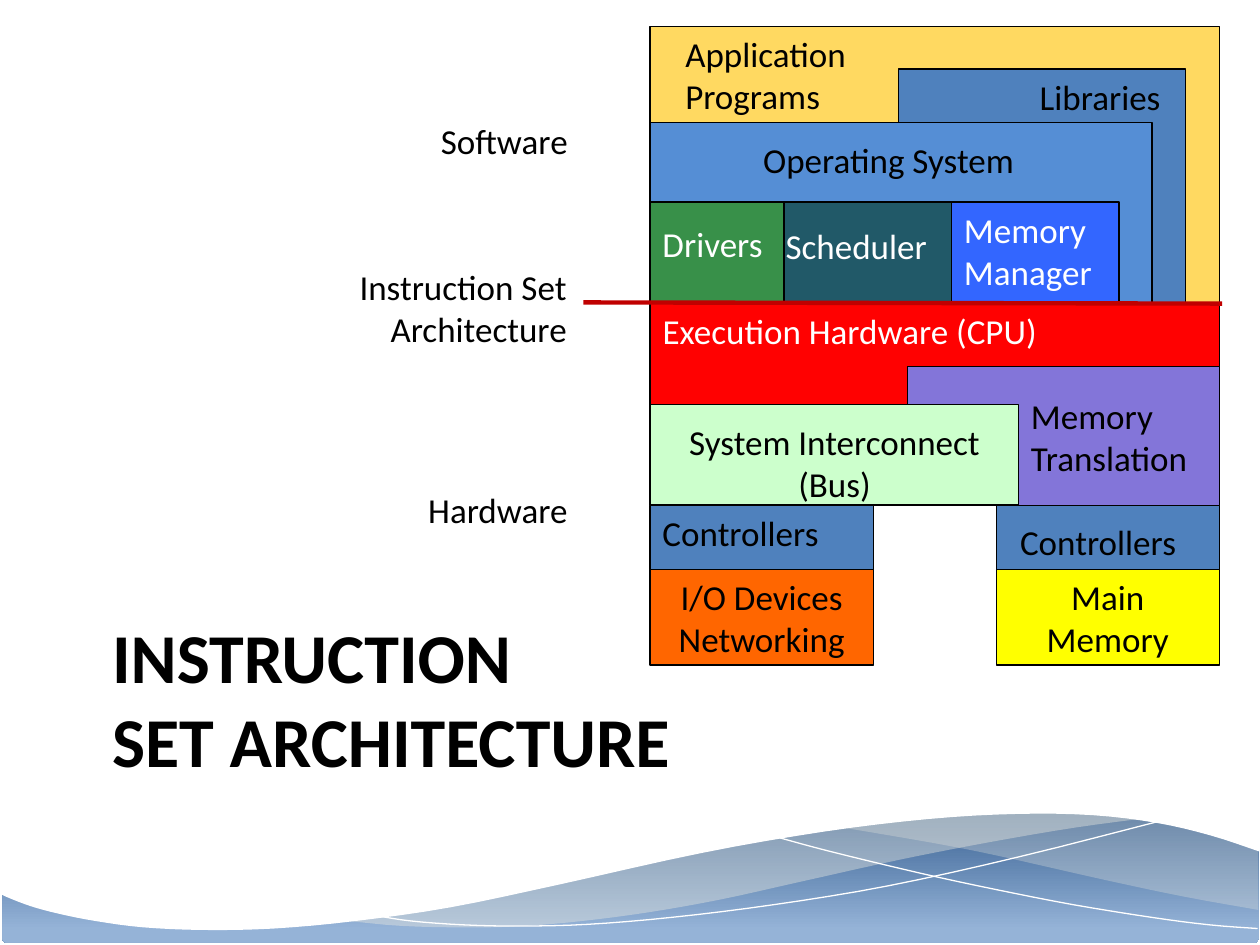
from typing import NamedTuple

from lxml.etree import SubElement
from pptx import Presentation
from pptx.dml.color import RGBColor
from pptx.enum.shapes import MSO_CONNECTOR, MSO_SHAPE
from pptx.enum.text import MSO_ANCHOR, PP_ALIGN
from pptx.oxml.ns import qn
from pptx.util import Pt

FONT = "Calibri"
BLACK = RGBColor(0x00, 0x00, 0x00)
WHITE = RGBColor(0xFF, 0xFF, 0xFF)
DEEP_BLUE = RGBColor(0x37, 0x60, 0x92)
PALE_BLUE = RGBColor(0x95, 0xB3, 0xD7)
CREAM = RGBColor(0xEE, 0xEC, 0xE1)
GOLD = RGBColor(0xFF, 0xD9, 0x61)
BLUE = RGBColor(0x4F, 0x81, 0xBD)
SKY = RGBColor(0x55, 0x8E, 0xD5)
RED = RGBColor(0xFF, 0x01, 0x01)
PURPLE = RGBColor(0x83, 0x75, 0xD9)
MINT = RGBColor(0xCC, 0xFF, 0xCC)
ORANGE = RGBColor(0xFF, 0x66, 0x00)
YELLOW = RGBColor(0xFF, 0xFF, 0x00)
ROYAL = RGBColor(0x33, 0x66, 0xFF)
TEAL = RGBColor(0x21, 0x59, 0x68)
GREEN = RGBColor(0x38, 0x90, 0x49)
DARK_RED = RGBColor(0xC0, 0x00, 0x00)
LEFT, CENTER, RIGHT = PP_ALIGN.LEFT, PP_ALIGN.CENTER, PP_ALIGN.RIGHT

# Shared edges of the layer diagram, in points
X0, X1 = 371.5, 697
ISA, BUS_BOTTOM, DEVICE_TOP, BOTTOM = 173.5, 288.7, 325.4, 380
PORT_W = 127.5

Curve = list[tuple[float, float]]


class Block(NamedTuple):
    left: float
    top: float
    right: float
    bottom: float
    color: RGBColor


class Label(NamedTuple):
    left: float
    top: float
    width: float
    height: float
    lines: tuple[str, ...]
    color: RGBColor = BLACK
    align: PP_ALIGN = LEFT


BLOCKS = [
    Block(X0, 15.1, X1, ISA, GOLD),
    Block(513.4, 39.4, 677.5, ISA, BLUE),
    Block(X0, 70, 658.3, ISA, SKY),
    Block(X0, ISA, X1, BUS_BOTTOM, RED),
    Block(518.4, 209.3, X1, BUS_BOTTOM, PURPLE),
    Block(X0, 231, 582.2, BUS_BOTTOM, MINT),
    Block(X0, BUS_BOTTOM, X0 + PORT_W, DEVICE_TOP, BLUE),
    Block(X0, DEVICE_TOP, X0 + PORT_W, BOTTOM, ORANGE),
    Block(X1 - PORT_W, BUS_BOTTOM, X1, DEVICE_TOP, BLUE),
    Block(X1 - PORT_W, DEVICE_TOP, X1, BOTTOM, YELLOW),
    Block(543.8, 115.5, 639.4, ISA, ROYAL),
    Block(448, 115.5, 543.8, ISA, TEAL),
    Block(X0, 115.5, 448, ISA, GREEN),
]

LABELS = [
    Label(384.5, 15.1, 129, 50, ("Application Programs",)),
    Label(587, 39.4, 110, 28, ("Libraries",)),
    Label(429, 75.6, 217, 28, ("Operating System",)),
    Label(X0, 123.5, 89, 28, ("Drivers",), WHITE),
    Label(543.8, 115.5, 102, 50, ("Memory", "Manager"), WHITE),
    Label(441.8, 124.5, 121, 28, ("Scheduler",), WHITE),
    Label(X0, ISA, 281, 28, ("Execution Hardware (CPU)",), WHITE),
    Label(582, 222, 122, 50, ("Memory", "Translation")),
    Label(X0, 237, 210.7, 50, ("System Interconnect", "(Bus)"), BLACK, CENTER),
    Label(X0, BUS_BOTTOM, PORT_W, 28, ("Controllers",)),
    Label(575.8, 294, 114.5, 28, ("Controllers",)),
    Label(575.8, DEVICE_TOP, 114.5, 50, ("Main", "Memory"), BLACK, CENTER),
    Label(X0, DEVICE_TOP, PORT_W, 50, ("I/O Devices", "Networking"), BLACK, CENTER),
    # Captions beside the diagram
    Label(182, 148.3, 149, 50, ("Instruction Set Architecture",), BLACK, RIGHT),
    Label(223, 64.8, 108.5, 28, ("Software",), BLACK, RIGHT),
    Label(199, 275.8, 132.5, 28, ("Hardware",), BLACK, RIGHT),
]

# Wave edges, as points each curve passes through
CREST_TOP = [(482, 473), (515, 468.7), (554, 465), (589, 463.7), (627, 465),
             (660, 469.4), (688, 475), (719, 486)]
CREST_BASE = [(719, 520), (677.5, 512.6), (632, 503), (570, 489), (533, 481.7),
              (482, 473)]
SWELL_TOP = [(198.7, 526.3), (240.5, 520.6), (288, 512), (322, 504), (382, 491),
             (436, 480), (484.6, 472.3), (528, 466.6), (566, 463.7), (600, 463),
             (630, 464.4), (656.6, 467.3)]
SWELL_BASE = [(656.6, 467.3), (614, 473), (567, 481), (515.5, 491), (457, 504),
              (412, 514), (371, 521.3), (333, 526.3), (299.5, 529.2), (269, 530),
              (230.4, 529.2), (198.7, 526.3)]
RISING = [(216, 523.4), (235, 526.3), (265, 528.5), (297, 529.2), (336, 528.2),
          (384, 524.2), (442, 517), (507.6, 506.2), (582.5, 489.6), (667.4, 468)]
FALLING = [(445.7, 478.8), (475, 486.7), (526, 499), (569, 508.3), (613.4, 517),
           (658, 524.2), (691, 528.5), (718.6, 530.6)]
SURFACE = [(720, 486.7), (691.9, 477.4), (661, 470.2), (624.2, 465.8), (581, 465.1),
           (530.6, 468), (470.9, 475.2), (401, 487.4), (319.7, 505.4), (257.8, 518.4),
           (203, 526.3), (156.2, 530.6), (115.9, 531.4), (82, 529.9), (54.7, 526.3),
           (33.1, 522), (17.3, 517.7), (4, 512.6), (0, 510.5)]


def smooth(knots: Curve, steps: int = 4) -> Curve:
    """Catmull-Rom curve through the knots."""
    ends = [knots[0], *knots, knots[-1]]
    curve = [knots[0]]
    for a, b, c, d in zip(ends, ends[1:], ends[2:], ends[3:]):
        for i in range(1, steps + 1):
            t = i / steps
            curve.append(tuple(
                0.5 * (2 * q + (r - p) * t + (2 * p - 5 * q + 4 * r - s) * t ** 2
                       + (3 * q - p - 3 * r + s) * t ** 3)
                for p, q, r, s in zip(a, b, c, d)))
    return curve


def add_outline(s, curve: Curve, fill: RGBColor | None = None, opacity: int = 100) -> None:
    """A filled area, or a white hairline when there is no fill."""
    pts = [(Pt(x), Pt(y)) for x, y in curve]
    builder = s.shapes.build_freeform(*pts[0])
    builder.add_line_segments(pts[1:], close=fill is not None)
    sp = builder.convert_to_shape()
    sp.shadow.inherit = False
    if fill is None:
        sp.fill.background()
        sp.line.color.rgb = WHITE
        sp.line.width = Pt(0)
        return
    sp.fill.solid()
    sp.fill.fore_color.rgb = fill
    sp.line.fill.background()
    if opacity < 100:
        clr = sp._element.spPr.find(qn("a:solidFill")).find(qn("a:srgbClr"))
        SubElement(clr, qn("a:alpha")).set("val", str(opacity * 1000))


def add_waves(s) -> None:
    sp = s.shapes.add_shape(MSO_SHAPE.ROUNDED_RECTANGLE, Pt(1.4), Pt(463), Pt(718), Pt(75.6))
    sp.adjustments[0] = 0.03
    sp.shadow.inherit = False
    sp.line.fill.background()
    sp.fill.gradient()
    sp.fill.gradient_angle = 270
    for stop, color, position in zip(sp.fill.gradient_stops, (DEEP_BLUE, PALE_BLUE), (0, 0.9)):
        stop.color.rgb = color
        stop.position = position
    add_outline(s, smooth(CREST_TOP) + smooth(CREST_BASE), CREAM, 29)
    add_outline(s, smooth(SWELL_TOP) + smooth(SWELL_BASE), CREAM, 40)
    add_outline(s, smooth(RISING))
    add_outline(s, smooth(FALLING))
    add_outline(s, smooth(SURFACE) + [(0, 427), (720, 427)], WHITE)


def add_block(s, b: Block) -> None:
    sp = s.shapes.add_shape(MSO_SHAPE.RECTANGLE, Pt(b.left), Pt(b.top),
                            Pt(b.right - b.left), Pt(b.bottom - b.top))
    sp.shadow.inherit = False
    sp.fill.solid()
    sp.fill.fore_color.rgb = b.color
    sp.line.color.rgb = BLACK
    sp.line.width = Pt(0.75)


def add_label(s, lb: Label, size: int = 20, bold: bool = False) -> None:
    sp = s.shapes.add_textbox(Pt(lb.left), Pt(lb.top), Pt(lb.width), Pt(lb.height))
    tf = sp.text_frame
    tf.word_wrap = True
    tf.vertical_anchor = MSO_ANCHOR.TOP
    for i, line in enumerate(lb.lines):
        p = tf.add_paragraph() if i else tf.paragraphs[0]
        p.alignment = lb.align
        r = p.add_run()
        r.text = line
        r.font.name, r.font.size, r.font.bold = FONT, Pt(size), bold
        r.font.color.rgb = lb.color


def main() -> None:
    prs = Presentation()
    prs.slide_width, prs.slide_height = Pt(720), Pt(540)
    s = prs.slides.add_slide(prs.slide_layouts[6])

    add_waves(s)

    # Title
    add_label(s, Label(57, 347, 612, 107, ("INSTRUCTION", "SET ARCHITECTURE")), 40, True)

    # Layer diagram
    for block in BLOCKS:
        add_block(s, block)
    for label in LABELS:
        add_label(s, label)

    # Boundary between software and hardware
    isa = s.shapes.add_connector(MSO_CONNECTOR.STRAIGHT, Pt(333.4), Pt(172.8), Pt(698.4), Pt(ISA))
    isa.line.color.rgb = DARK_RED
    isa.line.width = Pt(2.5)
    SubElement(isa._element.spPr, qn("a:effectLst"))

    prs.save("out.pptx")


if __name__ == "__main__":
    main()
